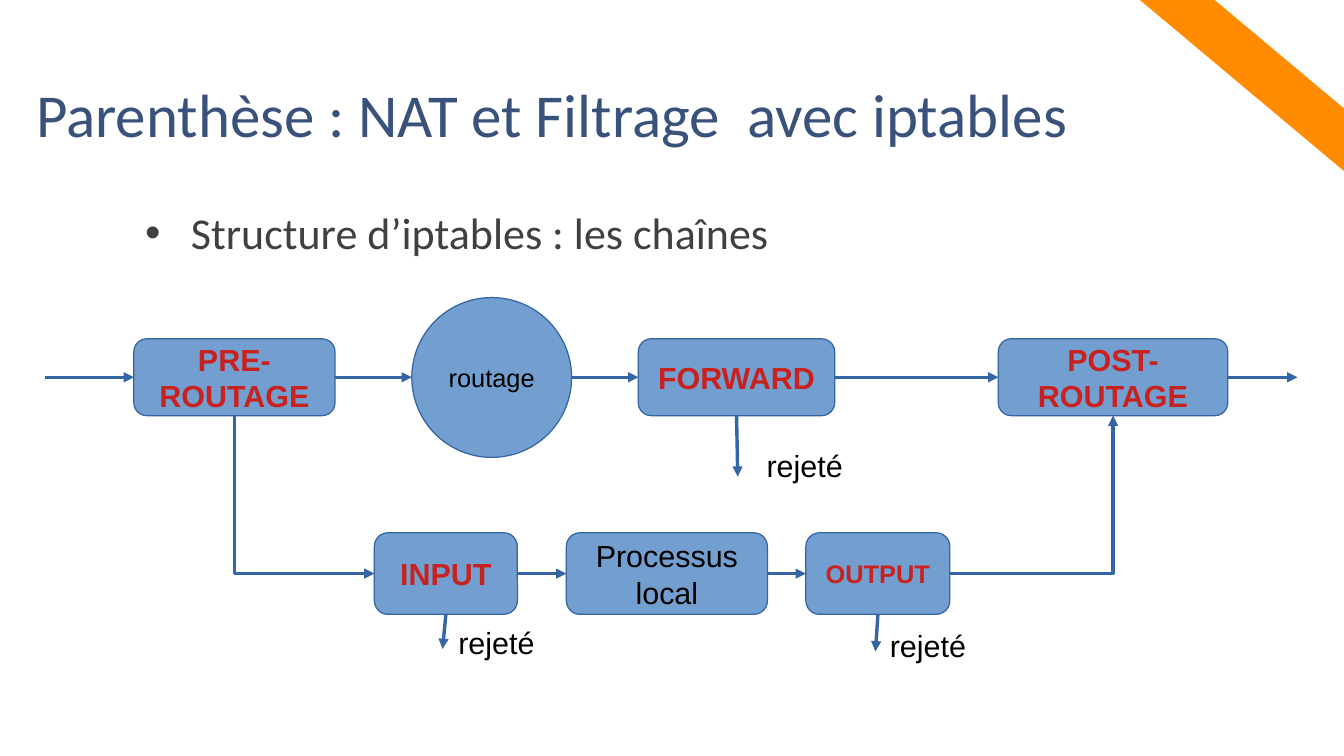
from dataclasses import dataclass

from lxml import etree
from pptx import Presentation
from pptx.dml.color import RGBColor
from pptx.enum.shapes import MSO_CONNECTOR, MSO_SHAPE
from pptx.enum.text import MSO_ANCHOR, MSO_AUTO_SIZE, PP_ALIGN
from pptx.oxml.ns import qn
from pptx.util import Cm, Pt

ROUNDED, ELLIPSE = MSO_SHAPE.ROUNDED_RECTANGLE, MSO_SHAPE.OVAL
STRAIGHT, ELBOW = MSO_CONNECTOR.STRAIGHT, MSO_CONNECTOR.ELBOW
LEFT, CENTER = PP_ALIGN.LEFT, PP_ALIGN.CENTER
TOP, MIDDLE = MSO_ANCHOR.TOP, MSO_ANCHOR.MIDDLE
BOTTOM_SITE, LEFT_SITE, RIGHT_SITE = 2, 1, 3

BLUE, BLUE_LINE, RED, BLACK = "729FCF", "3465A4", "C9211E", "000000"
ROW_TOP, ROW_HEIGHT, ROW_MIDDLE = 7.06, 1.6, 7.86
LOCAL_TOP, LOCAL_HEIGHT = 11.1, 1.7


@dataclass
class Node:
    text: str
    left: float
    width: float
    top: float = ROW_TOP
    height: float = ROW_HEIGHT
    size: int = 18
    color: str = RED
    bold: bool = True
    kind: int = ROUNDED

    @property
    def right(self) -> float:
        return self.left + self.width

    @property
    def center(self) -> float:
        return self.left + self.width / 2

    @property
    def bottom(self) -> float:
        return self.top + self.height


def rgb(value: str) -> RGBColor:
    return RGBColor.from_string(value)


def set_text(shape, text: str, size: int, color: str, font: str = "Arial",
             bold: bool = False, align=LEFT, anchor=TOP, wrap: bool = True):
    frame = shape.text_frame
    frame.auto_size = MSO_AUTO_SIZE.NONE
    frame.word_wrap = wrap
    frame.vertical_anchor = anchor
    frame.text = text
    paragraph = frame.paragraphs[0]
    paragraph.alignment = align
    paragraph.font.name = font
    paragraph.font.size = Pt(size)
    paragraph.font.bold = bold
    paragraph.font.color.rgb = rgb(color)
    return paragraph


def place(shape, left: float, top: float, width: float, height: float) -> None:
    shape.left, shape.top = Cm(left), Cm(top)
    shape.width, shape.height = Cm(width), Cm(height)


def draw_node(shapes, node: Node):
    shape = shapes.add_shape(node.kind, Cm(node.left), Cm(node.top),
                             Cm(node.width), Cm(node.height))
    shape.shadow.inherit = False
    shape.fill.solid()
    shape.fill.fore_color.rgb = rgb(BLUE)
    shape.line.color.rgb = rgb(BLUE_LINE)
    shape.line.width = Pt(0)
    set_text(shape, node.text, node.size, node.color, bold=node.bold,
             align=CENTER, anchor=MIDDLE)
    return shape


def draw_line(shapes, kind, start: tuple[float, float], end: tuple[float, float],
              color: str = BLUE_LINE, width: float = 0, arrow: bool = True):
    line = shapes.add_connector(kind, Cm(start[0]), Cm(start[1]), Cm(end[0]), Cm(end[1]))
    line.line.color.rgb = rgb(color)
    line.line.width = Pt(width)
    if arrow:
        etree.SubElement(line.line._get_or_add_ln(), qn("a:tailEnd"), type="triangle")
    etree.SubElement(line._element.spPr, qn("a:effectLst"))
    return line


def draw_corner(shapes, source, source_site: int, target, target_site: int):
    """Draw a one-corner arrow glued to two shapes."""
    line = draw_line(shapes, ELBOW, (0, 0), (1, 1))
    line.begin_connect(source, source_site)
    line.end_connect(target, target_site)
    line._element.spPr.find(qn("a:prstGeom")).set("prst", "bentConnector2")
    if source_site == BOTTOM_SITE:
        # The preset leaves sideways: turn it a quarter to leave downwards
        middle_x = (line.begin_x + line.end_x) // 2
        middle_y = (line.begin_y + line.end_y) // 2
        half_x = (line.end_x - line.begin_x) // 2
        half_y = (line.end_y - line.begin_y) // 2
        line.begin_x, line.end_x = middle_x + half_y, middle_x - half_y
        line.begin_y, line.end_y = middle_y - half_x, middle_y + half_x
        line._element.spPr.find(qn("a:xfrm")).set("rot", "16200000")


def main() -> None:
    presentation = Presentation()
    presentation.slide_width, presentation.slide_height = Cm(28), Cm(15.75)
    slide = presentation.slides.add_slide(presentation.slide_layouts[1])
    shapes = slide.shapes

    # Title and subtitle
    title, body = shapes.title, slide.placeholders[1]
    place(title, 0.5, 1.47, 24, 3.7)
    set_text(title, "Parenthèse : NAT et Filtrage  avec iptables", 36, "39527B", "Calibri")
    place(body, 2.77, 4.27, 23.62, 9.63)
    properties = body.text_frame.paragraphs[0]._p.get_or_add_pPr()
    properties.set("marL", "0")
    properties.set("indent", "0")
    etree.SubElement(properties, qn("a:buNone"))
    paragraph = set_text(body, "Structure d’iptables : les chaînes", 26, "404040", "Calibri")
    paragraph.line_spacing = 0.9
    paragraph.space_before = Pt(0)

    # Chains
    pre = Node("PRE-ROUTAGE", 2.79, 4.19)
    routing = Node("routage", 8.58, 3.33, 6.2, 3.33, 15, BLACK, False, ELLIPSE)
    forward = Node("FORWARD", 13.3, 4.09)
    post = Node("POST-ROUTAGE", 20.8, 4.78)
    entry = Node("INPUT", 7.8, 2.98, LOCAL_TOP, LOCAL_HEIGHT)
    process = Node("Processus local", 11.8, 4.19, LOCAL_TOP, LOCAL_HEIGHT,
                   color=BLACK, bold=False)
    output = Node("OUTPUT", 16.79, 3, LOCAL_TOP, LOCAL_HEIGHT, 15)
    routed_row = [pre, routing, forward, post]
    local_row = [entry, process, output]
    drawn = {node.text: draw_node(shapes, node) for node in routed_row + local_row}

    # Arrows along each row
    local_middle = LOCAL_TOP + LOCAL_HEIGHT / 2
    for row, middle in ((routed_row, ROW_MIDDLE), (local_row, local_middle)):
        for source, target in zip(row, row[1:]):
            draw_line(shapes, STRAIGHT, (source.right, middle), (target.left, middle))
    draw_line(shapes, STRAIGHT, (0.94, ROW_MIDDLE), (pre.left, ROW_MIDDLE))
    draw_line(shapes, STRAIGHT, (post.right, ROW_MIDDLE), (27.03, ROW_MIDDLE))

    # Arrows between the rows
    draw_corner(shapes, drawn[pre.text], BOTTOM_SITE, drawn[entry.text], LEFT_SITE)
    draw_corner(shapes, drawn[output.text], RIGHT_SITE, drawn[post.text], BOTTOM_SITE)

    # Rejected packets: arrow end and label corner
    for node, end, label in ((forward, (15.37, 9.93), (15.72, 9.19)),
                             (entry, (9.22, 13.52), (9.3, 12.88)),
                             (output, (18.24, 13.57), (18.29, 12.93))):
        draw_line(shapes, STRAIGHT, (node.center, node.bottom), end)
        box = shapes.add_textbox(Cm(label[0]), Cm(label[1]), Cm(2.08), Cm(0.97))
        set_text(box, "rejeté", 18, BLACK, wrap=False)

    # Corner stripe
    draw_line(shapes, STRAIGHT, (23.93, -0.5), (28.5, 3.33), "FF8C00", 28.35, arrow=False)

    presentation.save("out.pptx")


if __name__ == "__main__":
    main()
